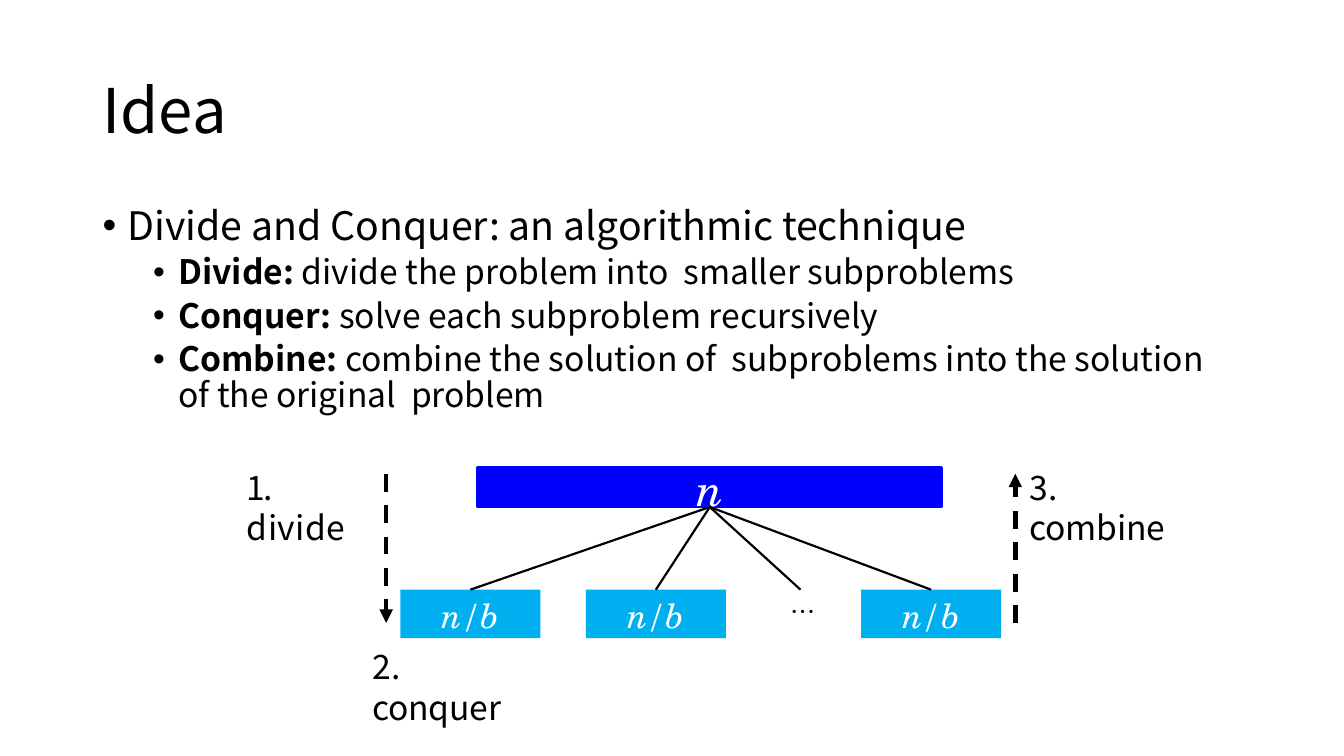
from dataclasses import dataclass

from lxml import etree
from pptx import Presentation
from pptx.dml.color import RGBColor
from pptx.enum.dml import MSO_LINE
from pptx.enum.shapes import MSO_CONNECTOR, MSO_SHAPE
from pptx.enum.text import MSO_ANCHOR, PP_ALIGN
from pptx.oxml.ns import qn
from pptx.util import Pt

PX = 9144
STRAIGHT = MSO_CONNECTOR.STRAIGHT
RECTANGLE = MSO_SHAPE.RECTANGLE
DASH = MSO_LINE.DASH
TOP, MIDDLE = MSO_ANCHOR.TOP, MSO_ANCHOR.MIDDLE
LEFT, CENTER = PP_ALIGN.LEFT, PP_ALIGN.CENTER


@dataclass(frozen=True)
class Theme:
    """Colours, fonts and point sizes of the slide."""
    ink: str = "000000"
    paper: str = "FFFFFF"
    problem: str = "0000FF"
    subproblem: str = "00AFEF"
    text_font: str = "Noto Sans CJK SC"
    dots_font: str = "Noto Sans CJK JP"
    math_font: str = "TeX Gyre Schola"
    title: int = 44
    root: int = 32
    lead: int = 28
    body: int = 24
    dots: int = 18
    branch: float = 1.56
    border: float = 2.04
    arrow: float = 3.2


class SlideBuilder:
    """Draws themed elements on one slide, with lengths in px."""

    def __init__(self, slide, theme):
        self.slide = slide
        self.theme = theme

    def style(self, run, size, color=None, font=None, bold=False, italic=False, spacing=0):
        face = font or self.theme.text_font
        run.font.size = Pt(size)
        run.font.bold = bold
        run.font.italic = italic
        run.font.color.rgb = RGBColor.from_string(color or self.theme.ink)
        run.font.name = face
        properties = run.font._element
        etree.SubElement(properties, qn("a:ea")).set("typeface", face)
        if spacing:
            properties.set("spc", str(round(spacing * 100)))

    def frame(self, shape, insets, anchor=TOP):
        frame = shape.text_frame
        frame.word_wrap = True
        frame.vertical_anchor = anchor
        frame.margin_left, frame.margin_top, frame.margin_right, frame.margin_bottom = (
            inset * PX for inset in insets)
        return frame

    def text_box(self, x, y, width, height, insets=(1, 4, 0, 0), anchor=TOP):
        box = self.slide.shapes.add_textbox(x * PX, y * PX, width * PX, height * PX)
        return self.frame(box, insets, anchor)

    def title(self, text, x, y, width, height):
        frame = self.text_box(x, y, width, height, (10, 5, 10, 5), MIDDLE)
        frame.text = text
        frame.paragraphs[0].line_spacing = 0.9
        self.style(frame.paragraphs[0].runs[0], self.theme.title)

    def bullet(self, paragraph, level, margin):
        paragraph.level = level
        properties = paragraph._p.get_or_add_pPr()
        properties.set("marL", str(margin * PX))
        properties.set("indent", str(-25 * PX))
        etree.SubElement(properties, qn("a:buFont")).set("typeface", "Arial")
        etree.SubElement(properties, qn("a:buChar")).set("char", "•")
        paragraph.line_spacing = 0.9

    def outline(self, lead, steps, x, y, width, height):
        frame = self.text_box(x, y, width, height, (10, 5, 10, 5))
        frame.text = lead
        self.bullet(frame.paragraphs[0], 0, 25)
        self.style(frame.paragraphs[0].runs[0], self.theme.lead)
        for term, meaning in steps:
            paragraph = frame.add_paragraph()
            self.bullet(paragraph, 1, 75)
            paragraph.space_before = Pt(5)
            for words, bold in ((term, True), (meaning, False)):
                run = paragraph.add_run()
                run.text = words
                self.style(run, self.theme.body, bold=bold)

    def label(self, number, step, x, y, width, number_spacing, step_spacing):
        paragraph = self.text_box(x, y, width, 43).paragraphs[0]
        for words, spacing in ((number, number_spacing), (step, step_spacing)):
            run = paragraph.add_run()
            run.text = words
            self.style(run, self.theme.body, spacing=spacing)

    def ellipsis(self, x, y, width, height):
        frame = self.text_box(x, y, width, height)
        frame.text = "…"
        self.style(frame.paragraphs[0].runs[0], self.theme.dots,
                   font=self.theme.dots_font, spacing=-4.4)

    def node(self, text, x, y, width, height, fill, size, spacing, border=0):
        node = self.slide.shapes.add_shape(RECTANGLE, x * PX, y * PX, width * PX, height * PX)
        node.shadow.inherit = False
        node.fill.solid()
        node.fill.fore_color.rgb = RGBColor.from_string(fill)
        if border:
            node.line.color.rgb = RGBColor.from_string(fill)
            node.line.width = Pt(border)
        else:
            node.line.fill.background()
        frame = self.frame(node, (0, 2, 0, 0), MIDDLE)
        frame.text = text
        frame.paragraphs[0].alignment = CENTER
        self.style(frame.paragraphs[0].runs[0], size, self.theme.paper,
                   self.theme.math_font, italic=True, spacing=spacing)

    def line(self, x1, y1, x2, y2, width):
        line = self.slide.shapes.add_connector(STRAIGHT, *(round(v * PX) for v in (x1, y1, x2, y2)))
        line.line.color.rgb = RGBColor.from_string(self.theme.ink)
        line.line.width = Pt(width)
        etree.SubElement(line._element.spPr, qn("a:effectLst"))
        return line

    def dashed_arrow(self, x, start, end):
        arrow = self.line(x, start, x, end, self.theme.arrow)
        arrow.line.dash_style = DASH
        etree.SubElement(arrow.line._get_or_add_ln(), qn("a:tailEnd")).set("type", "triangle")


def main():
    theme = Theme()
    deck = Presentation()
    deck.slide_width, deck.slide_height = 1333 * PX, 750 * PX
    page = SlideBuilder(deck.slides.add_slide(deck.slide_layouts[6]), theme)

    page.title("Idea", 92, 40, 1150, 145)
    page.outline("Divide and Conquer: an algorithmic technique", (
        ("Divide: ", "divide the problem into  smaller subproblems"),
        ("Conquer: ", "solve each subproblem recursively"),
        ("Combine: ", "combine the solution of  subproblems into the solution "
                      "of the original  problem"),
    ), 92, 200, 1150, 221)

    root_x, root_y, root_width, root_height = 474, 464, 460, 39
    page.node("n", root_x, root_y, root_width, root_height,
              theme.problem, theme.root, -1.7, theme.border)

    child_y, child_width, child_height = 585, 139, 48
    child_lefts = (397, 581, 854)
    for child_x in child_lefts:
        page.node("n/b", child_x, child_y, child_width, child_height,
                  theme.subproblem, theme.body, -0.7)
    dots_x, dots_width = 783, 22
    page.ellipsis(dots_x, 588, dots_width, 33)

    branch_ends = [child_x + child_width / 2 for child_x in child_lefts]
    branch_ends.append(dots_x + dots_width / 2)
    for branch_x in branch_ends:
        page.line(root_x + root_width / 2, root_y + root_height, branch_x, child_y, theme.branch)

    page.dashed_arrow(383, 470, 618)
    page.dashed_arrow(1007, 618, 470)
    page.label("1. ", "divide", 244, 459, 124, -1.8, 0.3)
    page.label("2. ", "conquer", 368, 637, 159, 0.3, -0.1)
    page.label("3. ", "combine", 1020, 459, 165, 0.3, -0.1)

    deck.save("out.pptx")


if __name__ == "__main__":
    main()
